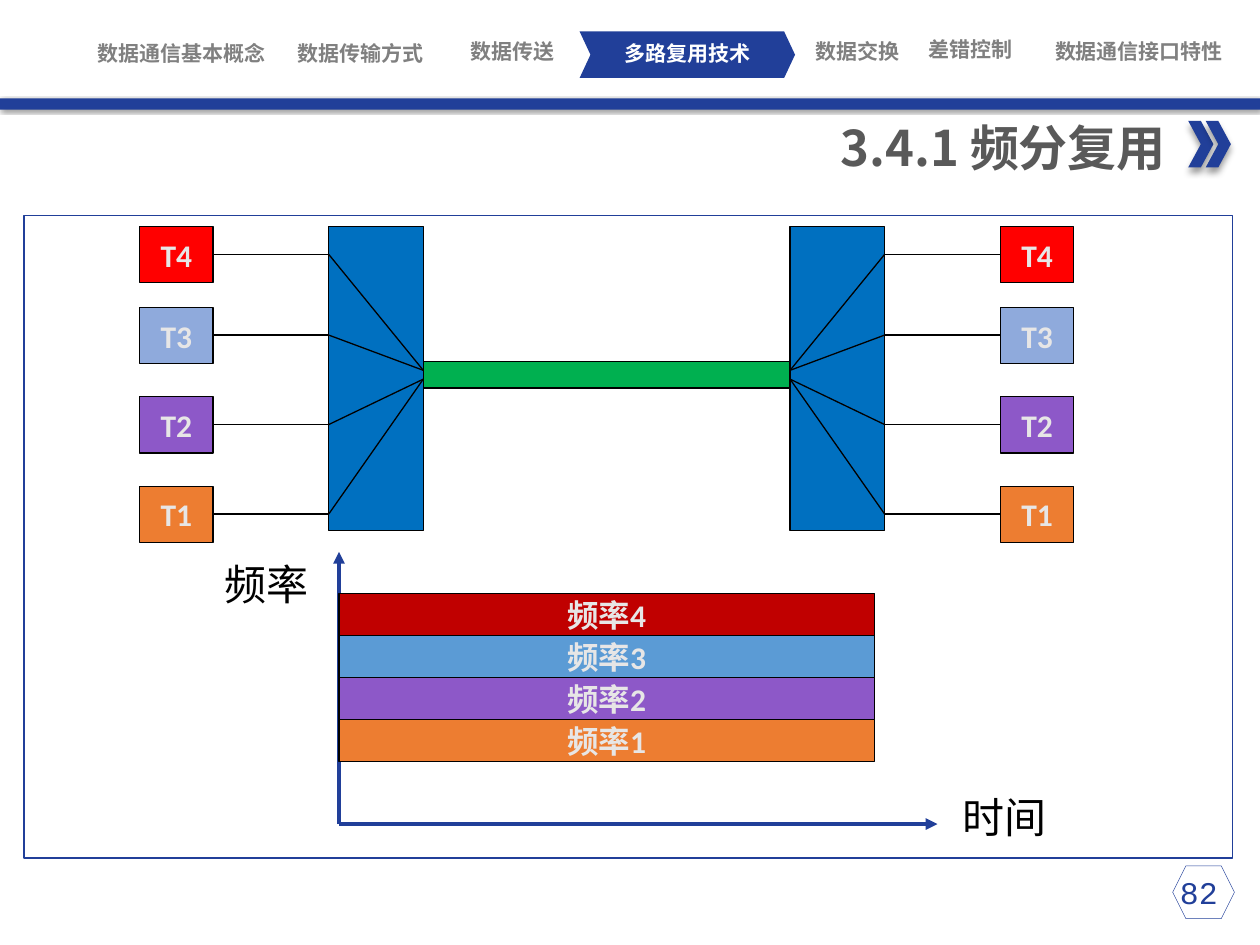
from lxml.etree import SubElement
from pptx import Presentation
from pptx.dml.color import RGBColor
from pptx.enum.shapes import MSO_CONNECTOR, MSO_SHAPE
from pptx.enum.text import MSO_ANCHOR, PP_ALIGN
from pptx.oxml.ns import qn
from pptx.util import Pt

THEME = {
    "navy": "213F99", "gray": "808080", "title": "595959", "white": "FFFFFF",
    "black": "000000", "label": "E7E6E6", "mux": "0070C0", "link": "00B050",
    "nav_size": 12, "title_size": 28, "axis_size": 24, "label_size": 18,
    "nav_font": "Roboto Condensed", "cjk_font": "Noto Sans CJK SC",
    "label_font": "Calibri", "page_font": "Courier New",
}

# Content: navigation as (text, centre x, top)
NAV = [
    ("数据通信基本概念", 104, 23), ("数据传输方式", 206.3, 23),
    ("数据传送", 292.7, 22.3), ("多路复用技术", 392.8, 23),
    ("数据交换", 490, 22.3), ("差错控制", 554.8, 21),
    ("数据通信接口特性", 650.9, 22.3),
]
ACTIVE = "多路复用技术"
TITLE = "3.4.1 频分复用"
PAGE = "82"
# Terminals as (text, top, fill), bands from top to bottom as (text, fill)
TERMINALS = [("T4", 129.6, "FF0000"), ("T3", 175.7, "8FAADC"),
             ("T2", 226.8, "8D58C8"), ("T1", 277.9, "ED7D31")]
BANDS = [("频率4", "C00000"), ("频率3", "5B9BD5"),
         ("频率2", "8D58C8"), ("频率1", "ED7D31")]
AXIS_LABELS = [("时间", 542.9, 448.6, 100.8), ("频率", 121, 315.4, 67.7)]

prs = Presentation()
prs.slide_width, prs.slide_height = Pt(720), Pt(540)
s = prs.slides.add_slide(prs.slide_layouts[6])


def rgb(color):
    return RGBColor.from_string(THEME.get(color, color))


def write(sp, text, size, font, color, bold=False, align=PP_ALIGN.CENTER,
          anchor=MSO_ANCHOR.MIDDLE, wrap=False, inset=None):
    tf = sp.text_frame
    tf.text = text
    tf.word_wrap, tf.vertical_anchor = wrap, anchor
    if inset is not None:
        tf.margin_left = tf.margin_right = Pt(inset)
        tf.margin_top = tf.margin_bottom = Pt(inset)
    p = tf.paragraphs[0]
    p.alignment = align
    r = p.runs[0]
    r.font.size, r.font.bold = Pt(THEME[size]), bold
    r.font.name, r.font.color.rgb = THEME[font], rgb(color)
    SubElement(r.font._element, qn("a:ea"), typeface=THEME["cjk_font"])


def add_text(x, y, w, h, *args, **kwargs):
    write(s.shapes.add_textbox(Pt(x), Pt(y), Pt(w), Pt(h)), *args, **kwargs)


def add_shape(kind, x, y, w, h, fill=None, line=None, weight=0.75):
    sp = s.shapes.add_shape(kind, Pt(x), Pt(y), Pt(w), Pt(h))
    sp.shadow.inherit = False
    if fill:
        sp.fill.solid()
        sp.fill.fore_color.rgb = rgb(fill)
    else:
        sp.fill.background()
    if line:
        sp.line.color.rgb, sp.line.width = rgb(line), Pt(weight)
    else:
        sp.line.fill.background()
    return sp


def add_box(x, y, w, h, fill, text=None):
    sp = add_shape(MSO_SHAPE.RECTANGLE, x, y, w, h, fill, "black")
    if text:
        write(sp, text, "label_size", "label_font", "label", bold=True)


def add_line(x1, y1, x2, y2, color="black", weight=0.75, arrow=False):
    ln = s.shapes.add_connector(MSO_CONNECTOR.STRAIGHT, Pt(x1), Pt(y1), Pt(x2), Pt(y2))
    ln.line.color.rgb, ln.line.width = rgb(color), Pt(weight)
    if arrow:
        SubElement(ln.line._get_or_add_ln(), qn("a:tailEnd"), type="triangle")
    SubElement(ln._element.spPr, qn("a:effectLst"))


def add_shadow(sp, blur, dist, angle):
    effects = sp._element.spPr.find(qn("a:effectLst"))
    shadow = SubElement(effects, qn("a:outerShdw"), blurRad=str(Pt(blur)),
                        dist=str(Pt(dist)), dir=str(angle * 60000),
                        algn="t", rotWithShape="0")
    color = SubElement(shadow, qn("a:srgbClr"), val=THEME["black"])
    SubElement(color, qn("a:alpha"), val="40000")


# Navigation bar
tab = add_shape(MSO_SHAPE.CHEVRON, 331.2, 18, 123.1, 26.6, "navy")
tab.adjustments[0] = 0.234
for text, cx, y in NAV:
    add_text(cx - 69, y, 138, 14.4, text, "nav_size", "nav_font",
             "white" if text == ACTIVE else "gray", bold=True, wrap=True, inset=0)
rule = add_shape(MSO_SHAPE.RECTANGLE, 0, 56.2, 720, 6.5, "navy")
add_shadow(rule, 2, 1, 45)

# Title with double chevron
for x in (679, 689):
    add_shadow(add_shape(MSO_SHAPE.CHEVRON, x, 69.1, 14.4, 26.6, "navy"), 4, 3, 90)
add_text(460, 63.4, 213.2, 41, TITLE, "title_size", "cjk_font", "title",
         bold=True, align=PP_ALIGN.RIGHT, anchor=MSO_ANCHOR.TOP)

# Page number
add_text(653.8, 495.4, 62.6, 28.8, PAGE, "label_size", "page_font", "navy",
         anchor=MSO_ANCHOR.TOP, wrap=True)
add_shape(MSO_SHAPE.HEXAGON, 670.1, 494.8, 35.3, 30.2, line="navy", weight=0.25)

# Frame
add_shape(MSO_SHAPE.RECTANGLE, 13.7, 123.1, 690.5, 367.2, line="navy")

# Frequency-time chart: axes, stacked bands, axis labels
ORIGIN_X, ORIGIN_Y = 193.7, 470.9
add_line(ORIGIN_X, ORIGIN_Y, 535.7, ORIGIN_Y, "navy", 2.25, arrow=True)
add_line(ORIGIN_X, ORIGIN_Y, ORIGIN_X, 315.4, "navy", 2.25, arrow=True)
BAND_H = 24
for i, (text, fill) in enumerate(BANDS):
    add_box(ORIGIN_X, 339.1 + i * BAND_H, 306, BAND_H, fill, text)
for text, x, y, w in AXIS_LABELS:
    add_text(x, y, w, 36, text, "axis_size", "cjk_font", "black",
             align=PP_ALIGN.LEFT, anchor=MSO_ANCHOR.TOP, wrap=True)

# Multiplexers and shared link; the right half mirrors the left
SPAN = 693.4  # left x + mirrored x
TERM_X, TERM_W, TERM_H = 79.9, 41.8, 32.1
MUX_X, MUX_W, MUX_Y, MUX_H = 187.9, 54, 129.6, 173.5
LINK_X, LINK_Y, LINK_H = MUX_X + MUX_W, 206.6, 15.1
WIRE_DY = 15.8
for x in (MUX_X, SPAN - MUX_X - MUX_W):
    add_box(x, MUX_Y, MUX_W, MUX_H, "mux")
add_box(LINK_X, LINK_Y, SPAN - 2 * LINK_X, LINK_H, "link")

# Terminals and their wires into the link
for i, (text, y, fill) in enumerate(TERMINALS):
    wire_y = y + WIRE_DY
    join_y = LINK_Y + LINK_H * (1 if i < 2 else 2) / 3
    for x in (TERM_X, SPAN - TERM_X - TERM_W):
        add_box(x, y, TERM_W, TERM_H, fill, text)
    for side in (lambda x: x, lambda x: SPAN - x):
        add_line(side(TERM_X + TERM_W), wire_y, side(MUX_X), wire_y)
        add_line(side(MUX_X), wire_y, side(LINK_X), join_y)

prs.save("out.pptx")
